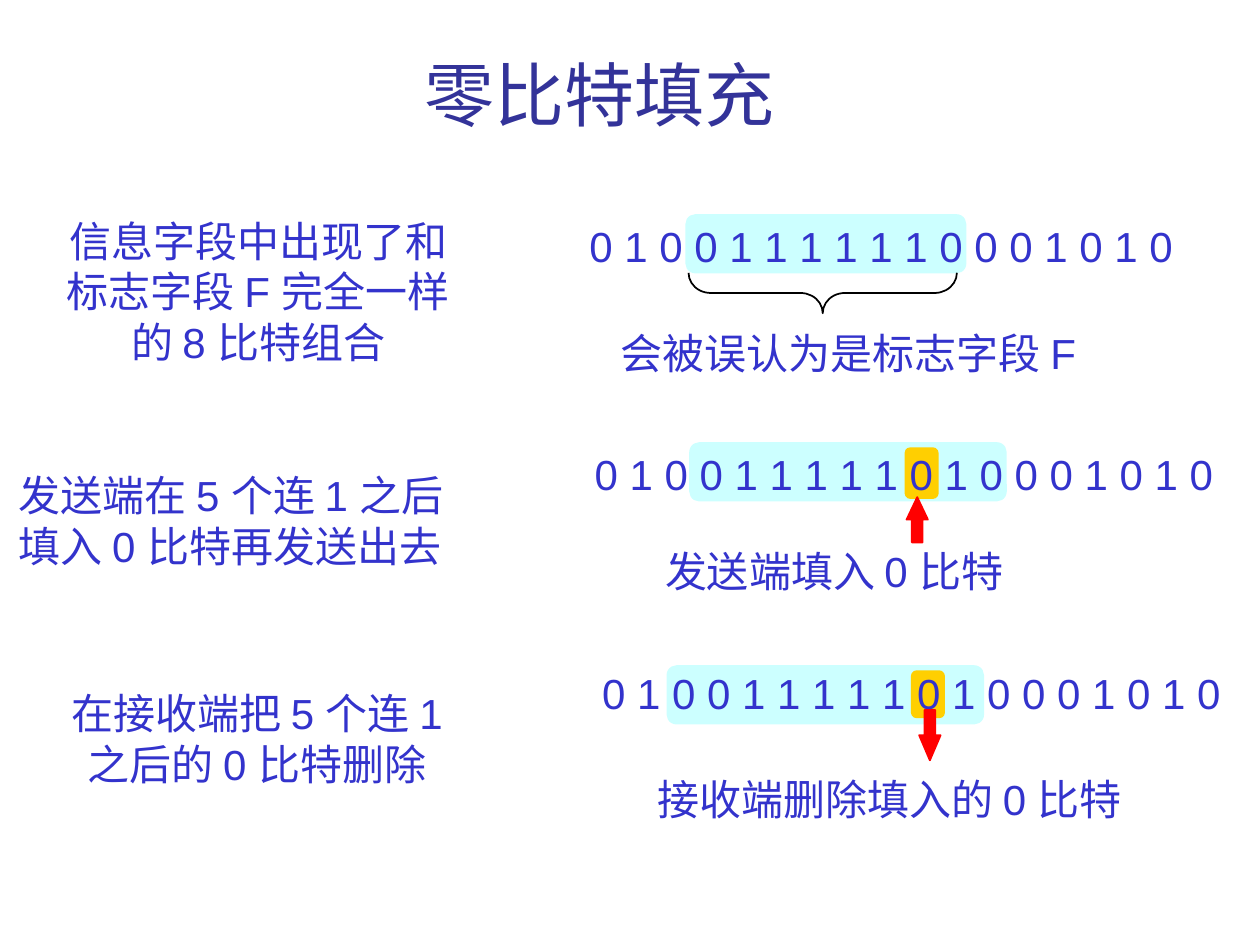
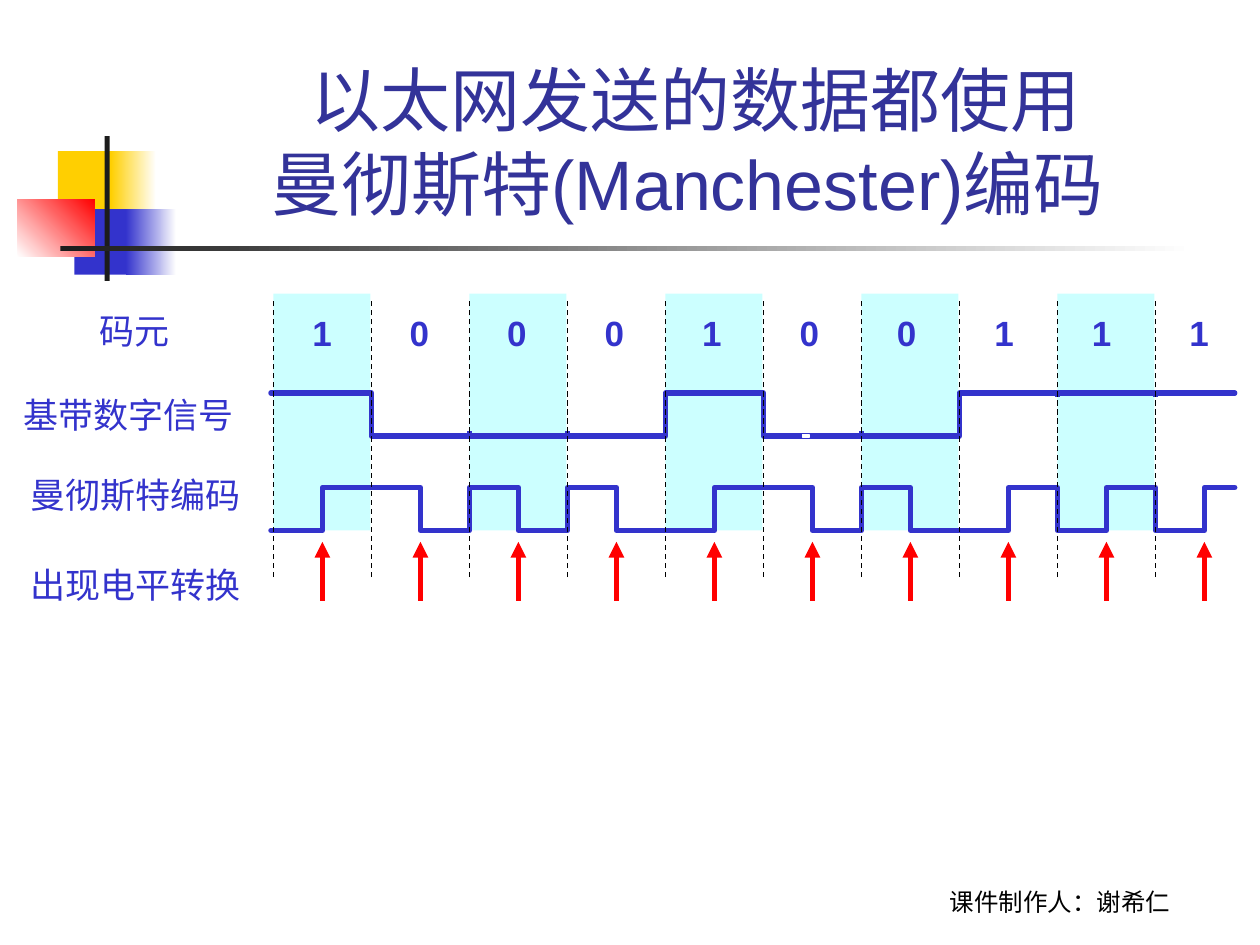
from lxml import etree
from pptx import Presentation
from pptx.dml.color import RGBColor
from pptx.enum.dml import MSO_LINE
from pptx.enum.shapes import MSO_CONNECTOR, MSO_SHAPE
from pptx.enum.text import MSO_ANCHOR, MSO_AUTO_SIZE, PP_ALIGN
from pptx.oxml.ns import qn
from pptx.util import Inches, Pt

RECT, ROUNDED = MSO_SHAPE.RECTANGLE, MSO_SHAPE.ROUNDED_RECTANGLE
RIGHT_ARROW, LEFT_BRACE = MSO_SHAPE.RIGHT_ARROW, MSO_SHAPE.LEFT_BRACE
STRAIGHT, DASH = MSO_CONNECTOR.STRAIGHT, MSO_LINE.DASH
LEFT, CENTER = PP_ALIGN.LEFT, PP_ALIGN.CENTER
TOP, BOTTOM = MSO_ANCHOR.TOP, MSO_ANCHOR.BOTTOM

TITLE_BLUE = RGBColor(0x33, 0x33, 0x99)
BLUE = RGBColor(0x33, 0x33, 0xCC)
CYAN = RGBColor(0xCC, 0xFF, 0xFF)
YELLOW = RGBColor(0xFF, 0xCF, 0x01)
RED = RGBColor(0xFF, 0x00, 0x00)
DARK = RGBColor(0x1C, 0x1C, 0x1C)
BLACK = RGBColor(0x00, 0x00, 0x00)
WHITE = RGBColor(0xFF, 0xFF, 0xFF)

prs = Presentation()
prs.slide_width, prs.slide_height = Inches(10), Inches(7.5)
TITLE_ONLY = prs.slide_layouts[5]


def write(box, place, lines, size=24, font="Arial", color=BLUE, align=LEFT,
          anchor=TOP, wrap=False, bold=False):
    """Place a text box or title and fill it, one paragraph per line."""
    box.left, box.top, box.width, box.height = map(Inches, place)
    frame = box.text_frame
    frame.word_wrap = wrap
    frame.auto_size = MSO_AUTO_SIZE.NONE
    frame.vertical_anchor = anchor
    for number, line in enumerate(lines):
        paragraph = frame.paragraphs[0] if number == 0 else frame.add_paragraph()
        paragraph.alignment = align
        for part_number, part in enumerate(line.split("\n")):
            if part_number:
                paragraph.add_line_break()
            run = paragraph.add_run()
            run.text = part
            run.font.size = Pt(size)
            run.font.name = font
            run.font.bold = bold
            run.font.color.rgb = color


def draw(slide, kind, place, fill=None, line=None, width=1, fade_angle=None):
    """Add a preset shape; a pair of fill colours gives a gradient."""
    shape = slide.shapes.add_shape(kind, *map(Inches, place))
    shape.shadow.inherit = False
    if fill is None:
        shape.fill.background()
    elif fade_angle is not None:
        shape.fill.gradient()
        shape.fill.gradient_angle = fade_angle
        for stop, color in zip(shape.fill.gradient_stops, fill):
            stop.color.rgb = color
    else:
        shape.fill.solid()
        shape.fill.fore_color.rgb = fill
    if line is None:
        shape.line.fill.background()
    else:
        shape.line.color.rgb = line
        shape.line.width = Pt(width)
    return shape


# Slide 1: zero-bit stuffing
stuffing = prs.slides.add_slide(TITLE_ONLY)
write(stuffing.shapes.title, (3.27, 0.36, 3.3, 0.77), ["零比特填充"],
      size=40, font="Cabin", color=TITLE_BLUE, wrap=True)

for flag_area in [(5.44, 1.7, 2.23, 0.47), (5.47, 3.51, 2.52, 0.47),
                  (5.29, 5.28, 2.52, 0.47)]:
    draw(stuffing, ROUNDED, flag_area, CYAN)
for stuffed_bit in [(7.18, 3.55, 0.27, 0.41), (7.23, 5.32, 0.27, 0.38)]:
    draw(stuffing, ROUNDED, stuffed_bit, YELLOW)

STUFFED = "0 1 0 0 1 1 1 1 1 0 1 0 0 0 1 0 1 0"
stuffing_texts = [
    ((4.58, 1.7, 4.83, 0.5), ["0 1 0 0 1 1 1 1 1 1 0 0 0 1 0 1 0"], LEFT),
    ((4.62, 3.51, 5.11, 0.5), [STUFFED], LEFT),
    ((4.68, 5.25, 5.11, 0.5), [STUFFED], LEFT),
    ((0.35, 1.66, 3.4, 1.3),
     ["信息字段中出现了和", "标志字段 F 完全一样", "的 8 比特组合"], CENTER),
    ((0.05, 3.68, 3.89, 0.9),
     ["发送端在 5 个连 1 之后", "填入 0 比特再发送出去"], LEFT),
    ((0.35, 5.41, 3.38, 0.9),
     ["在接收端把 5 个连 1", "之后的 0 比特删除"], CENTER),
    ((4.83, 2.55, 3.98, 0.5), ["会被误认为是标志字段 F"], LEFT),
    ((5.18, 4.28, 3.04, 0.5), ["发送端填入 0 比特"], LEFT),
    ((5.12, 6.09, 4.04, 0.5), ["接收端删除填入的 0 比特"], LEFT),
]
for place, lines, align in stuffing_texts:
    write(stuffing.shapes.add_textbox(0, 0, 0, 0), place, lines, align=align)

for place, rotation, head in [((7.1, 4.04, 0.36, 0.17), 270, 1.05),
                              ((7.18, 5.75, 0.4, 0.17), 90, 1.17)]:
    bit_arrow = draw(stuffing, RIGHT_ARROW, place, RED, RED)
    bit_arrow.rotation = rotation
    bit_arrow.adjustments[1] = head

flag_brace = draw(stuffing, LEFT_BRACE, (6.37, 1.26, 0.32, 2.13), line=BLACK)
flag_brace.rotation = 270
flag_brace.adjustments[0] = 0.55

# Slide 2: Manchester code
manchester = prs.slides.add_slide(TITLE_ONLY)
for place, fill, fade_angle in [
    ((0.46, 1.2, 0.48, 0.52), YELLOW, None),
    ((0.88, 1.2, 0.36, 0.52), (YELLOW, WHITE), 0),
    ((0.59, 1.66, 0.46, 0.52), BLUE, None),
    ((1, 1.66, 0.4, 0.52), (BLUE, WHITE), 0),
    ((0.14, 1.58, 0.61, 0.46), (WHITE, RED), 45),
    ((0.83, 1.08, 0.04, 1.15), DARK, None),
    ((0.48, 1.95, 9, 0.04), (DARK, WHITE), 0),
]:
    draw(manchester, RECT, place, fill, fade_angle=fade_angle)

write(manchester.shapes.title, (1.26, 0.23, 8.52, 1.6),
      ["以太网发送的数据都使用\n曼彻斯特(Manchester)编码 "],
      size=40, color=TITLE_BLUE, align=CENTER, anchor=BOTTOM, wrap=True)
write(manchester.shapes.add_textbox(0, 0, 0, 0), (6.83, 6.82, 3.17, 0.5),
      ["课件制作人：谢希仁"], size=14, font="Cabin", color=BLACK,
      align=CENTER, anchor=BOTTOM, wrap=True)
for left, top, width, row_label in [
    (0.69, 2.41, 0.76, "码元"),
    (0.09, 3.07, 1.87, "基带数字信号"),
    (0.14, 3.71, 1.87, "曼彻斯特编码"),
    (0.14, 4.42, 1.87, "出现电平转换"),
]:
    write(manchester.shapes.add_textbox(0, 0, 0, 0), (left, top, width, 0.43),
          [row_label], size=20)

BITS = "1000100111"
CELL = 7 / 9
edges = [2.17 + CELL * i for i in range(len(BITS))]

for edge in edges[::2]:
    draw(manchester, RECT, (edge, 2.33, 0.77, 1.88), CYAN)
for i, bit in enumerate(BITS):
    write(manchester.shapes.add_textbox(0, 0, 0, 0),
          (2.38 + 6.96 / 9 * i, 2.42, 0.35, 0.43), [bit], size=20, bold=True)

# Each wave is a list of (start, end, level) steps; level 1 is high.
baseband = [(x, x + CELL, int(bit)) for x, bit in zip(edges, BITS)]
coded = []
for x, bit in zip(edges, BITS):
    middle = x + CELL / 2
    coded += [(x, middle, 1 - int(bit)), (middle, x + CELL, int(bit))]

for steps, high, low in [(baseband, 3.12, 3.46), (coded, 3.87, 4.21)]:
    points = []
    for start, end, level in steps:
        y = Inches(high if level else low)
        points += [(Inches(start), y), (Inches(min(end, 9.8)), y)]
    points[0] = (Inches(2.15), points[0][1])
    builder = manchester.shapes.build_freeform(*points[0])
    builder.add_line_segments(points[1:], close=False)
    wave = builder.convert_to_shape()
    wave.shadow.inherit = False
    wave.fill.background()
    wave.line.color.rgb = BLUE
    wave.line.width = Pt(3)
    outline = wave.line._get_or_add_ln()
    outline.set("cap", "rnd")
    etree.SubElement(outline, qn("a:round"))

draw(manchester, RECT, (6.37, 3.45, 0.05, 0.02), WHITE, WHITE, 0.75)

# Connectors: x, start y, end y, colour, width, dashed, arrowhead
strokes = [(edges[i], 3.46, 3.42, BLUE, 3, False, False) for i in (2, 3, 6)]
strokes += [(edges[i], 3.15, 3.11, BLUE, 3, False, False) for i in (8, 9)]
strokes += [(x, 4.58, 2.38, BLACK, 0.75, True, False) for x in edges]
strokes += [(x + CELL / 2, 4.77, 4.3, RED, 3, False, True) for x in edges]
for x, start, end, color, width, dashed, arrowhead in strokes:
    stroke = manchester.shapes.add_connector(
        STRAIGHT, Inches(x), Inches(start), Inches(x), Inches(end))
    stroke.line.color.rgb = color
    stroke.line.width = Pt(width)
    if dashed:
        stroke.line.dash_style = DASH
    if arrowhead:
        etree.SubElement(stroke.line._get_or_add_ln(), qn("a:tailEnd"), type="triangle")
    etree.SubElement(stroke._element.spPr, qn("a:effectLst"))

prs.save("out.pptx")
